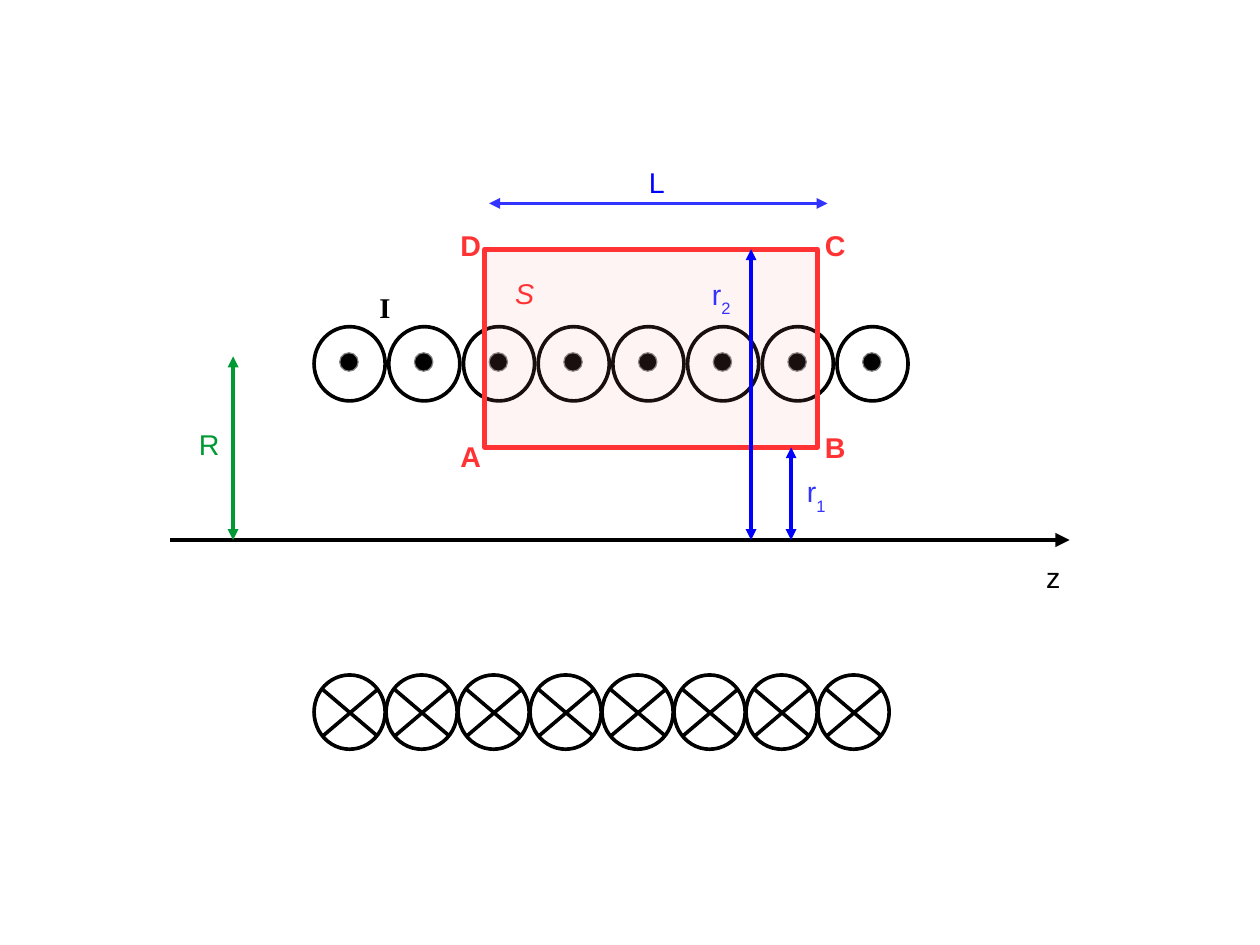
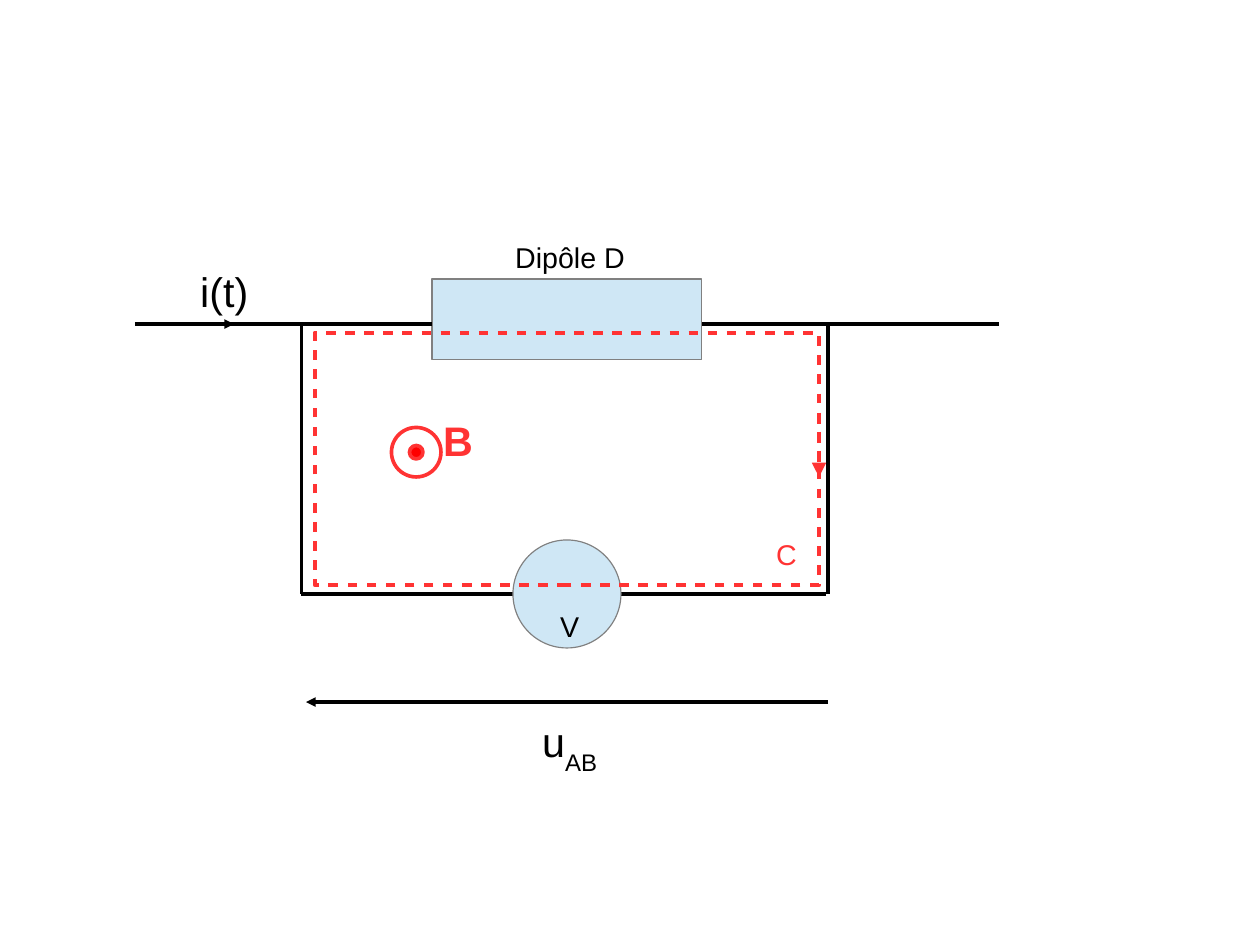
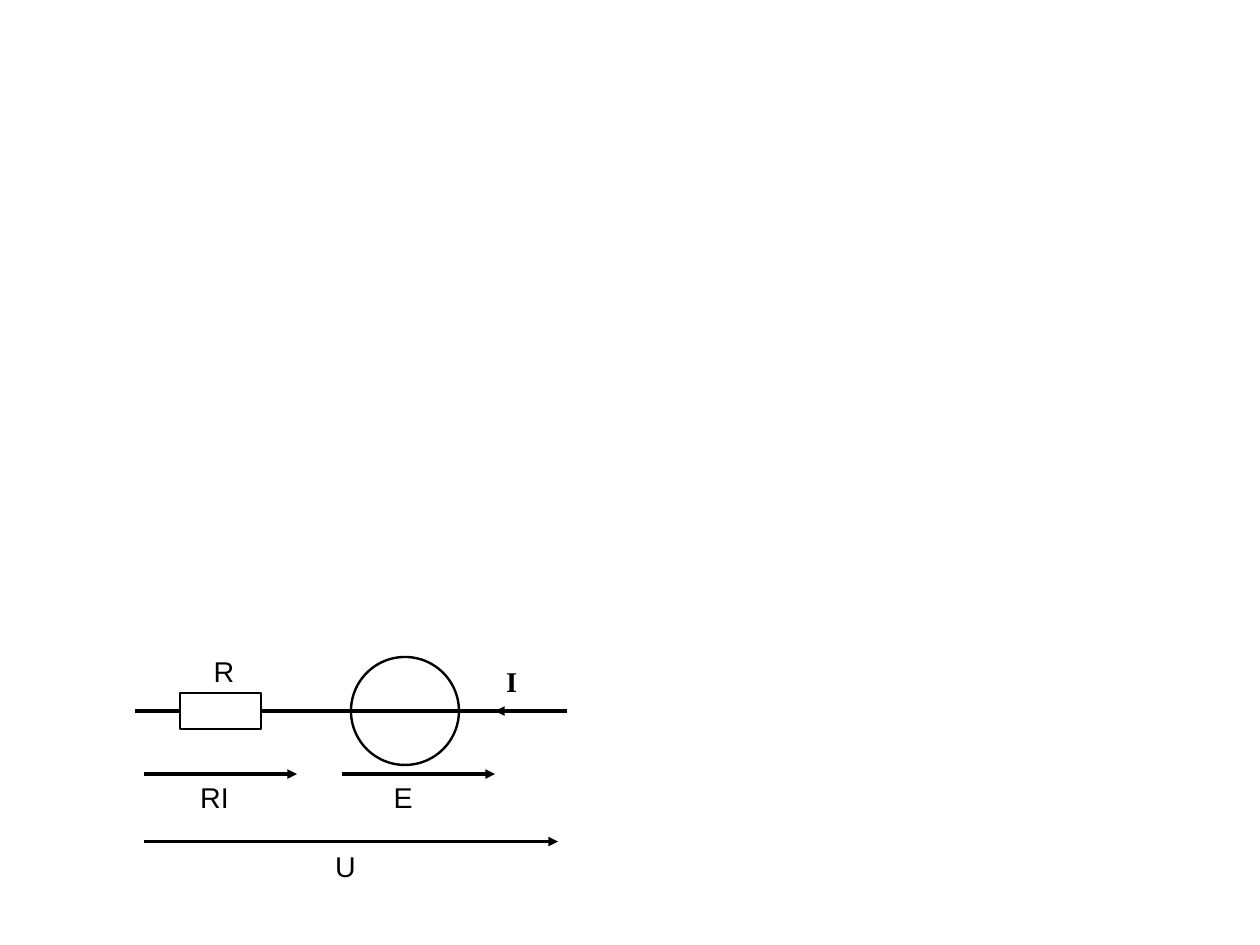
from lxml.etree import SubElement
from pptx import Presentation
from pptx.dml.color import RGBColor
from pptx.enum.shapes import MSO_CONNECTOR, MSO_SHAPE
from pptx.enum.text import MSO_ANCHOR, PP_ALIGN
from pptx.oxml.ns import qn
from pptx.util import Cm, Pt

COLUMNS, ROWS = 28, 21
BLACK, WHITE, GREY = "000000", "FFFFFF", "808080"
RED, BRIGHT_RED, PINK = "FF3333", "FF0000", "FF9999"
BLUE, SOFT_BLUE, PALE_BLUE = "0000FF", "3333FF", "CFE7F5"
GREEN = "009933"
HAIRLINE, OUTLINE, MEDIUM, THICK = 0, 1.5, 2.3, 3
TEXT_SIZE, LARGE_SIZE = 18, 26


def rgb(code):
    """Turn a hex string into a colour."""
    return RGBColor.from_string(code)


def write(paragraph, text, color=BLACK, size=TEXT_SIZE, font="Arial",
          bold=False, italic=False, baseline=None):
    """Add one formatted run to a paragraph."""
    run = paragraph.add_run()
    run.text = text
    run.font.name, run.font.size = font, Pt(size)
    run.font.bold, run.font.italic = bold, italic
    run.font.color.rgb = rgb(color)
    if baseline:
        run.font._element.set("baseline", str(baseline * 1000))


class Diagram:
    """Hold the style and the current slide, measured in grid columns and rows."""

    def __init__(self):
        """Set up a presentation divided into square grid cells."""
        self.deck = Presentation()
        self.deck.slide_width, self.deck.slide_height = Cm(COLUMNS), Cm(ROWS)
        self.cell = self.deck.slide_width / COLUMNS
        self.slide = None

    def new_slide(self):
        """Start a blank white slide."""
        self.slide = self.deck.slides.add_slide(self.deck.slide_layouts[6])
        self.slide.background.fill.solid()
        self.slide.background.fill.fore_color.rgb = rgb(WHITE)

    def grid(self, *lengths):
        """Convert columns or rows to slide units."""
        return [round(length * self.cell) for length in lengths]

    def stroke(self, line, color, width, dashed=False):
        """Format an outline or a connector line."""
        line.color.rgb = rgb(color)
        line.width = Pt(width)
        ln = line._get_or_add_ln()
        if dashed:
            pattern = SubElement(ln, qn("a:custDash"))
            SubElement(pattern, qn("a:ds"), d="200000", sp="200000")
        return ln

    def shape(self, kind, column, row, width, height, fill=None, color=BLACK,
              weight=HAIRLINE, opacity=None, dashed=False):
        """Draw a preset shape."""
        figure = self.slide.shapes.add_shape(
            kind, *self.grid(column, row, width, height))
        figure.shadow.inherit = False
        if fill:
            figure.fill.solid()
            figure.fill.fore_color.rgb = rgb(fill)
        else:
            figure.fill.background()
        if opacity:
            tint = figure._element.spPr.find(qn("a:solidFill"))[0]
            SubElement(tint, qn("a:alpha"), val=str(opacity * 1000))
        self.stroke(figure.line, color, weight, dashed)

    def box(self, *bounds, **style):
        """Draw a rectangle."""
        self.shape(MSO_SHAPE.RECTANGLE, *bounds, **style)

    def oval(self, column, row, width, height=None, **style):
        """Draw an ellipse, or a circle when no height is given."""
        self.shape(MSO_SHAPE.OVAL, column, row, width, height or width, **style)

    def line(self, x1, y1, x2, y2, color=BLACK, width=HAIRLINE,
             head=False, tail=False, dashed=False):
        """Draw a straight line with optional arrowheads."""
        link = self.slide.shapes.add_connector(
            MSO_CONNECTOR.STRAIGHT, *self.grid(x1, y1, x2, y2))
        ln = self.stroke(link.line, color, width, dashed)
        for end, wanted in (("a:headEnd", head), ("a:tailEnd", tail)):
            if wanted:
                SubElement(ln, qn(end), type="triangle")
        SubElement(link._element.spPr, qn("a:effectLst"))

    def span(self, x1, y1, x2, y2, color):
        """Draw a dimension line with an arrowhead at each end."""
        self.line(x1, y1, x2, y2, color, MEDIUM, head=True, tail=True)

    def label(self, text, column, row, width=1, height=0.97, subscript=None, **style):
        """Place a text label with an optional subscript."""
        frame = self.slide.shapes.add_textbox(
            *self.grid(column, row, width, height)).text_frame
        frame.word_wrap = True
        frame.vertical_anchor = MSO_ANCHOR.TOP
        paragraph = frame.paragraphs[0]
        paragraph.alignment = PP_ALIGN.LEFT
        write(paragraph, text, **style)
        if subscript:
            write(paragraph, subscript, baseline=-33, **style)


def draw_solenoid(diagram):
    """Draw the cut through a solenoid with its Ampère contour."""
    diagram.new_slide()
    turns, first, turn_width, turn_height = 8, 6.98, 1.58, 1.65
    axis, upper, lower = 12, 7.26, 15
    left, top, length, height = 10.77, 5.54, 7.4, 4.4
    ring = dict(fill=WHITE, weight=MEDIUM)

    diagram.line(3.78, axis, 23.77, axis, width=THICK, tail=True)
    for turn in range(turns):
        x = first + turn * 1.66
        diagram.oval(x, upper, turn_width, turn_height, **ring)
        diagram.oval(x + 0.57, upper + 0.58, 0.41, fill=BLACK, color=GREY)
    for turn in range(turns):
        x = first + turn * 1.6
        diagram.oval(x, lower, turn_width, turn_height, **ring)
        for start, end in ((0.33, 1.35), (1.35, 0.33)):
            diagram.line(x + 1.4, lower + start, x + 0.2, lower + end, width=MEDIUM)

    diagram.box(left, top, length, height, fill=PINK, opacity=10,
                color=RED, weight=THICK)
    for corner, x, y in (("A", 9.98, 9.63), ("B", 18.08, 9.42),
                         ("C", 18.08, 4.95), ("D", 9.98, 4.95)):
        diagram.label(corner, x, y, color=RED, bold=True)
    diagram.label("S", 11.2, 6, 1.6, color=RED, italic=True)
    diagram.label("I", 8.18, 6.32, 0.8, font="Times New Roman", bold=True)
    diagram.label("z", 23, 12.32)

    diagram.span(17.58, axis, 17.58, top + height, BLUE)
    diagram.span(16.69, axis, 16.69, top, BLUE)
    diagram.span(10.87, 4.52, 18.39, 4.52, SOFT_BLUE)
    diagram.span(5.18, 7.92, 5.18, axis, GREEN)
    for index, x, y in (("1", 17.68, 10.41), ("2", 15.57, 6.02)):
        diagram.label("r", x, y, 1.2, 1.12, subscript=index, color=SOFT_BLUE)
    diagram.label("L", 14.17, 3.53, 0.8, color=BLUE)
    diagram.label("R", 4.17, 9.37, color=GREEN)


def draw_voltmeter(diagram):
    """Draw the dipole, the voltmeter and the loop between them."""
    diagram.new_slide()
    top, bottom, left, right = 7.2, 13.2, 6.7, 18.4
    component = dict(fill=PALE_BLUE, color=GREY)

    diagram.box(9.6, 6.2, 6, 1.8, **component)
    for wire in ((3, top, 9.6, top), (15.6, top, 22.2, top),
                 (left, top, left, bottom), (right, top, right, bottom),
                 (left, bottom, 11.4, bottom), (13.6, bottom, 18.35, bottom)):
        diagram.line(*wire)
    diagram.oval(11.4, 12, 2.4, **component)
    diagram.label("V", 12.2, 13.4)
    diagram.label("Dipôle D", 11.2, 5.2, 3.4)

    diagram.box(7, 7.4, 11.2, 5.6, color=RED, weight=THICK, dashed=True)
    diagram.line(18.2, 9.2, 18.2, 10.6, RED, THICK, tail=True, dashed=True)
    diagram.label("C", 17, 11.8, color=RED)

    diagram.line(4.2, top, 5.2, top, tail=True)
    diagram.label("i(t)", 4.2, 5.8, 1.8, 1.27, size=LARGE_SIZE)
    diagram.line(right, 15.6, 6.8, 15.6, tail=True)
    diagram.label("u", 11.8, 15.8, 1.8, 1.5, subscript="AB", size=LARGE_SIZE)

    diagram.oval(8.7, 9.5, 1.1, color=RED, weight=MEDIUM)
    diagram.oval(9.1, 9.9, 0.3, fill=BRIGHT_RED, color=RED, weight=MEDIUM)
    diagram.label("B", 9.6, 9.1, 1.2, 1.3, color=RED, size=LARGE_SIZE, bold=True)


def draw_equivalent_circuit(diagram):
    """Draw the resistor and source in series with their voltages."""
    diagram.new_slide()
    wire = 15.8
    component = dict(fill=WHITE, weight=OUTLINE)

    diagram.oval(7.8, wire - 1.2, 2.4, **component)
    diagram.line(3, wire, 12.6, wire)
    diagram.line(12, wire, 11, wire, tail=True)
    diagram.label("I", 11, 14.63, 0.8, font="Times New Roman", bold=True)
    diagram.box(4, wire - 0.4, 1.8, 0.8, **component)
    diagram.label("R", 4.5, 14.4, 0.6)

    for start, end, y in ((3.2, 6.6, 17.2), (7.6, 11, 17.2), (3.2, 12.4, 18.7)):
        diagram.line(start, y, end, y, tail=True)
    for voltage, x, y in (("RI", 4.2, 17.2), ("E", 8.5, 17.2), ("U", 7.2, 18.75)):
        diagram.label(voltage, x, y, 1.2)


def main():
    """Build the three diagrams and save them."""
    diagram = Diagram()
    draw_solenoid(diagram)
    draw_voltmeter(diagram)
    draw_equivalent_circuit(diagram)
    diagram.deck.save("out.pptx")


if __name__ == "__main__":
    main()
